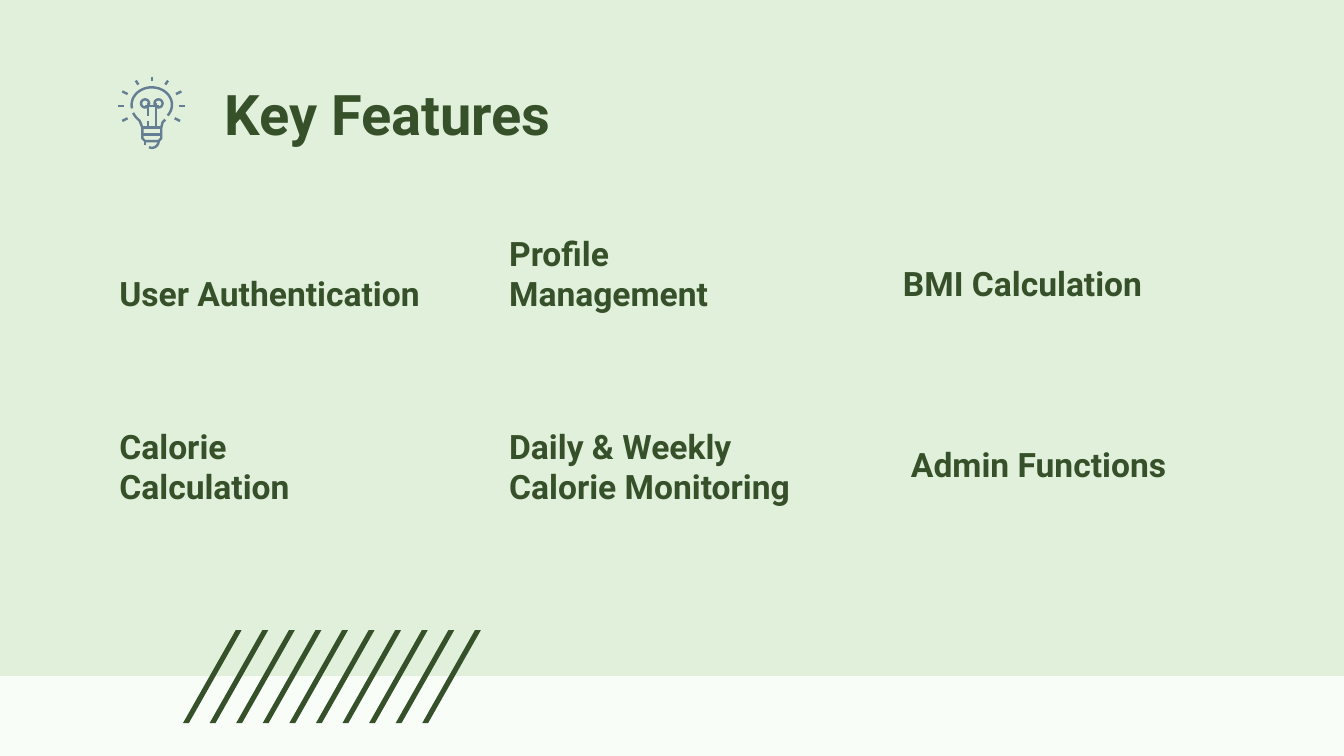
from math import cos, radians, sin

from lxml import etree
from pptx import Presentation
from pptx.dml.color import RGBColor
from pptx.enum.shapes import MSO_SHAPE
from pptx.enum.text import MSO_ANCHOR, MSO_AUTO_SIZE, PP_ALIGN
from pptx.oxml.ns import qn
from pptx.util import Inches, Pt

RECTANGLE = MSO_SHAPE.RECTANGLE
TOP, BOTTOM = MSO_ANCHOR.TOP, MSO_ANCHOR.BOTTOM
LEFT = PP_ALIGN.LEFT
NO_AUTOFIT = MSO_AUTO_SIZE.NONE

COLORS = {"page": "F9FDF8", "band": "E0F0DA", "green": "36502A", "icon": "657E93"}
FONT = "Roboto"


def write_text(box, text, size=18, color="green", bold=True, anchor=BOTTOM):
    frame = box.text_frame
    frame.text = text
    frame.word_wrap = True
    frame.auto_size = NO_AUTOFIT
    frame.vertical_anchor = anchor
    frame.margin_left = frame.margin_right = Inches(0.1)
    frame.margin_top = frame.margin_bottom = Inches(0.1)
    for paragraph in frame.paragraphs:
        paragraph.alignment = LEFT
        paragraph.space_before = Pt(0)
        paragraph.font.name = FONT
        paragraph.font.size = Pt(size)
        paragraph.font.bold = bold
        paragraph.font.color.rgb = RGBColor.from_string(COLORS[color])


def draw_outline(points, color, width, closed=False):
    corners = [(Inches(x), Inches(y)) for x, y in points]
    builder = slide.shapes.build_freeform(*corners[0])
    builder.add_line_segments(corners[1:], close=closed)
    outline = builder.convert_to_shape()
    outline.shadow.inherit = False
    rgb = RGBColor.from_string(COLORS[color])
    outline.line.color.rgb = rgb
    outline.line.width = Pt(width)
    if closed:
        outline.fill.solid()
        outline.fill.fore_color.rgb = rgb
        # Sharp corners
        line = outline.element.spPr.find(qn("a:ln"))
        etree.SubElement(line, qn("a:miter"), lim="800000")
    else:
        outline.fill.background()


# A 16:9 slide
prs = Presentation()
prs.slide_width, prs.slide_height = Inches(10), Inches(10 * 9 / 16)
slide = prs.slides.add_slide(prs.slide_layouts[5])

# Background with the green band behind everything
slide.background.fill.solid()
slide.background.fill.fore_color.rgb = RGBColor.from_string(COLORS["page"])
band = slide.shapes.add_shape(
    RECTANGLE, Inches(-0.07), Inches(-0.04), Inches(10.12), Inches(5.07))
band.shadow.inherit = False
band.fill.solid()
band.fill.fore_color.rgb = RGBColor.from_string(COLORS["band"])
band.line.fill.background()
title = slide.shapes.title
title.element.addprevious(band.element)

# Title
title.left, title.top = Inches(1.57), Inches(0.49)
title.width, title.height = Inches(8.43), Inches(0.63)
write_text(title, "Key Features", size=30, anchor=TOP)

# Features: two rows of three, the last column set a little higher
features = [
    [(0.79, 2.02, "User Authentication"),
     (3.69, 2.02, "Profile\nManagement"),
     (6.62, 1.95, "BMI Calculation")],
    [(0.79, 3.46, "Calorie\nCalculation"),
     (3.69, 3.46, "Daily & Weekly\nCalorie Monitoring"),
     (6.68, 3.29, "Admin Functions")],
]
for row in features:
    for left, top, feature in row:
        label = slide.shapes.add_textbox(
            Inches(left), Inches(top), Inches(2.63), Inches(0.41))
        write_text(label, feature)

# Slanted stripes across the edge of the band
STRIPES, FIRST, LAST = 10, 1.38, 3.16
for i in range(STRIPES):
    foot = FIRST + i * (LAST - FIRST) / (STRIPES - 1)
    draw_outline([(foot + 0.4, 4.7), (foot + 0.38, 4.7), (foot, 5.37),
                  (foot + 0.02, 5.37)], "green", 1.5, closed=True)

# Light bulb: curves as (centre x, centre y, radius x, radius y, from, to)
curves = [
    (1.13, 0.78, 0.15, 0.13, 168, 398),     # glass
    (1.08, 0.77, 0.03, 0.03, 0, 360),       # left filament loop
    (1.18, 0.77, 0.03, 0.03, 0, 360),       # right filament loop
    (1.13, 1.05, 0.05, 0.05, 0, 115),       # tip
]
for x, y, rx, ry, start, end in curves:
    angles = [radians(start + (end - start) * n / 36) for n in range(37)]
    draw_outline([(x + rx * cos(a), y + ry * sin(a)) for a in angles], "icon", 1.3)

bulb_lines = [
    # neck and socket
    [(0.99, 0.84), (1.01, 0.87), (1.04, 0.9), (1.06, 0.95), (1.06, 1.03),
     (1.08, 1.05), (1.18, 1.05), (1.2, 1.03), (1.2, 0.95), (1.21, 0.91), (1.23, 0.89)],
    [(1.06, 0.95), (1.2, 0.95)],
    [(1.06, 1), (1.2, 1)],
    [(1.08, 1.05), (1.08, 1.08)],
    # filament
    [(1.08, 0.79), (1.18, 0.79)],
    [(1.1, 0.77), (1.1, 0.86)],
    [(1.1, 0.9), (1.1, 0.95)],
    [(1.16, 0.77), (1.16, 0.95)],
    # rays
    [(1.13, 0.57), (1.13, 0.6)],
    [(1.01, 0.6), (1.03, 0.63)],
    [(1.25, 0.6), (1.23, 0.63)],
    [(0.91, 0.68), (0.95, 0.7)],
    [(1.35, 0.68), (1.31, 0.7)],
    [(0.88, 0.79), (0.92, 0.79)],
    [(1.33, 0.79), (1.38, 0.79)],
    [(0.91, 0.9), (0.95, 0.88)],
    [(1.34, 0.9), (1.3, 0.88)],
]
for points in bulb_lines:
    draw_outline(points, "icon", 1.3)

prs.save("out.pptx")
